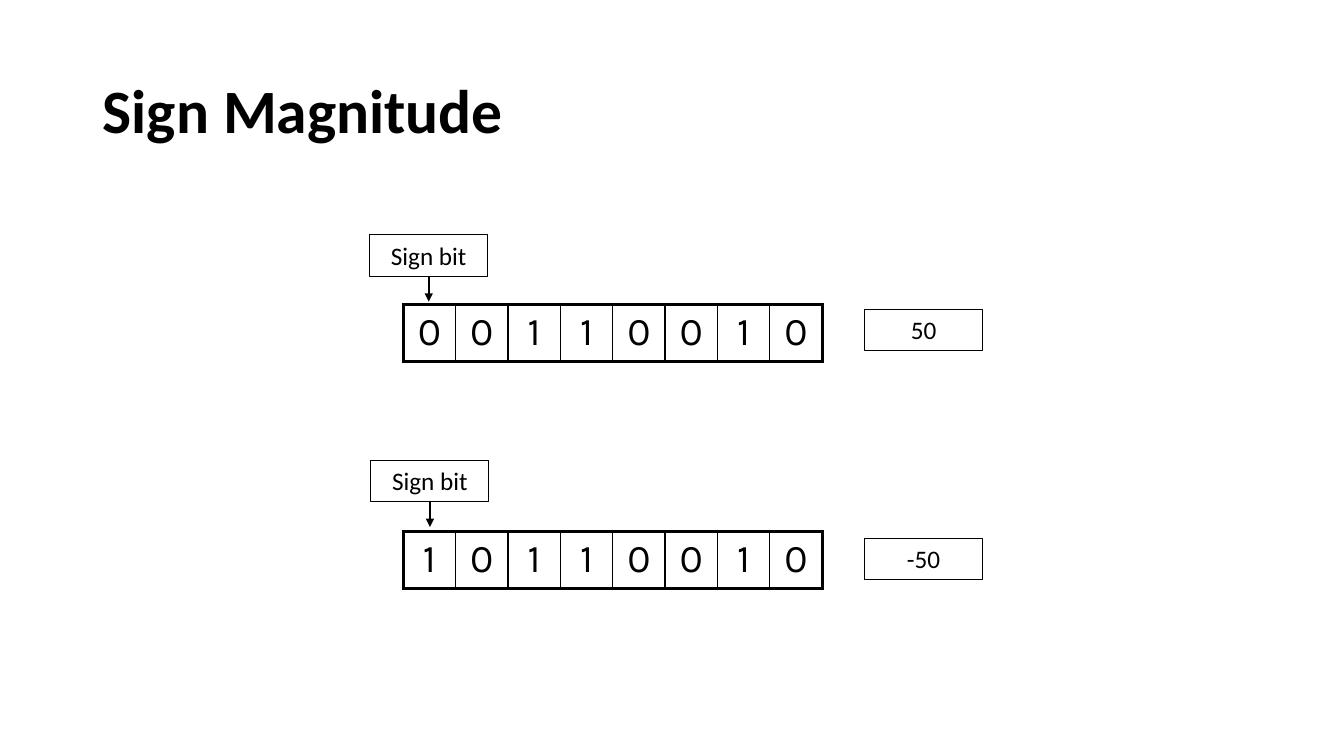
import pptx
import pptx.dml.color
import pptx.enum.dml
import pptx.enum.shapes
import pptx.enum.text
import pptx.oxml
import pptx.oxml.ns
import pptx.util
from pptx.util import Cm

BLACK = pptx.dml.color.RGBColor(0x00, 0x00, 0x00)
CENTER = pptx.enum.text.PP_ALIGN.CENTER
LEFT = pptx.enum.text.PP_ALIGN.LEFT
MIDDLE = pptx.enum.text.MSO_ANCHOR.MIDDLE
TOP = pptx.enum.text.MSO_ANCHOR.TOP


def write_text(frame, text, size=18, font="Calibri", bold=False, align=CENTER):
    paragraph = frame.paragraphs[0]
    paragraph.alignment = align
    run = paragraph.add_run()
    run.text = text
    run.font.size = pptx.util.Pt(size)
    run.font.name = font
    run.font.bold = bold
    run.font.color.rgb = BLACK
    return paragraph


class SlideBuilder:
    body_font = "Calibri"
    digit_font = "Karla"
    box_width, box_height = 2.97, 1.04
    bit_width, bit_height = 1.32, 1.42
    thin, thick = 1, 2.25

    def __init__(self, slide):
        self.slide = slide

    def title(self, text):
        shape = self.slide.shapes.add_textbox(Cm(2.34), Cm(1.02), Cm(29.21), Cm(3.68))
        frame = shape.text_frame
        frame.word_wrap = True
        frame.vertical_anchor = MIDDLE
        paragraph = write_text(frame, text, size=44, font=self.body_font,
                               bold=True, align=LEFT)
        paragraph.line_spacing = 0.9

    def box(self, text, left, top):
        shape = self.slide.shapes.add_shape(
            pptx.enum.shapes.MSO_SHAPE.RECTANGLE,
            Cm(left), Cm(top), Cm(self.box_width), Cm(self.box_height))
        shape.shadow.inherit = False
        shape.fill.background()
        shape.line.color.rgb = BLACK
        shape.line.width = pptx.util.Pt(0.75)
        shape.text_frame.word_wrap = True
        shape.text_frame.vertical_anchor = TOP
        write_text(shape.text_frame, text, font=self.body_font)

    def down_arrow(self, x, top, length):
        arrow = self.slide.shapes.add_connector(
            pptx.enum.shapes.MSO_CONNECTOR.STRAIGHT,
            Cm(x), Cm(top), Cm(x), Cm(top + length))
        arrow.line.color.rgb = BLACK
        arrow.line.width = pptx.util.Pt(1.5)
        line = arrow.line._get_or_add_ln()
        line.append(pptx.oxml.parse_xml(
            f'<a:tailEnd {pptx.oxml.ns.nsdecls("a")} type="triangle"/>'))
        arrow._element.spPr.append(pptx.oxml.parse_xml(
            f'<a:effectLst {pptx.oxml.ns.nsdecls("a")}/>'))

    def cell_border(self, cell, side, points):
        cell._tc.get_or_add_tcPr().append(pptx.oxml.parse_xml(
            f'<a:ln{side} {pptx.oxml.ns.nsdecls("a")} w="{pptx.util.Pt(points)}">'
            f'<a:solidFill><a:srgbClr val="{BLACK}"/></a:solidFill></a:ln{side}>'))

    def bit_row(self, bits, left, top):
        count = len(bits)
        table = self.slide.shapes.add_table(
            1, count, Cm(left), Cm(top),
            Cm(count * self.bit_width), Cm(self.bit_height)).table
        table.first_row = False
        table.horz_banding = False
        for index, bit in enumerate(bits):
            table.columns[index].width = Cm(self.bit_width)
            cell = table.cell(0, index)
            self.cell_border(cell, "L", self.thick if index == 0 else self.thin)
            self.cell_border(cell, "R", self.thick if index == count - 1 else self.thin)
            self.cell_border(cell, "T", self.thick)
            self.cell_border(cell, "B", self.thick)
            cell.fill.background()
            write_text(cell.text_frame, bit, size=28, font=self.digit_font)

    def signed_number(self, bits, value, row_top, label_left, label_top, value_top):
        self.bit_row(bits, 10.16, row_top)
        self.box("Sign bit", label_left, label_top)
        self.down_arrow(label_left + self.box_width / 2,
                        label_top + self.box_height, 0.64)
        self.box(value, 21.79, value_top)


def main():
    presentation = pptx.Presentation()
    presentation.slide_width = Cm(33.87)
    presentation.slide_height = Cm(19.05)
    builder = SlideBuilder(presentation.slides.add_slide(presentation.slide_layouts[6]))

    # Heading
    builder.title("Sign Magnitude")

    # Positive number, then its negative
    builder.signed_number("00110010", "50", row_top=7.67,
                          label_left=9.32, label_top=5.92, value_top=7.8)
    builder.signed_number("10110010", "-50", row_top=13.39,
                          label_left=9.35, label_top=11.6, value_top=13.56)

    presentation.save("out.pptx")


if __name__ == "__main__":
    main()
